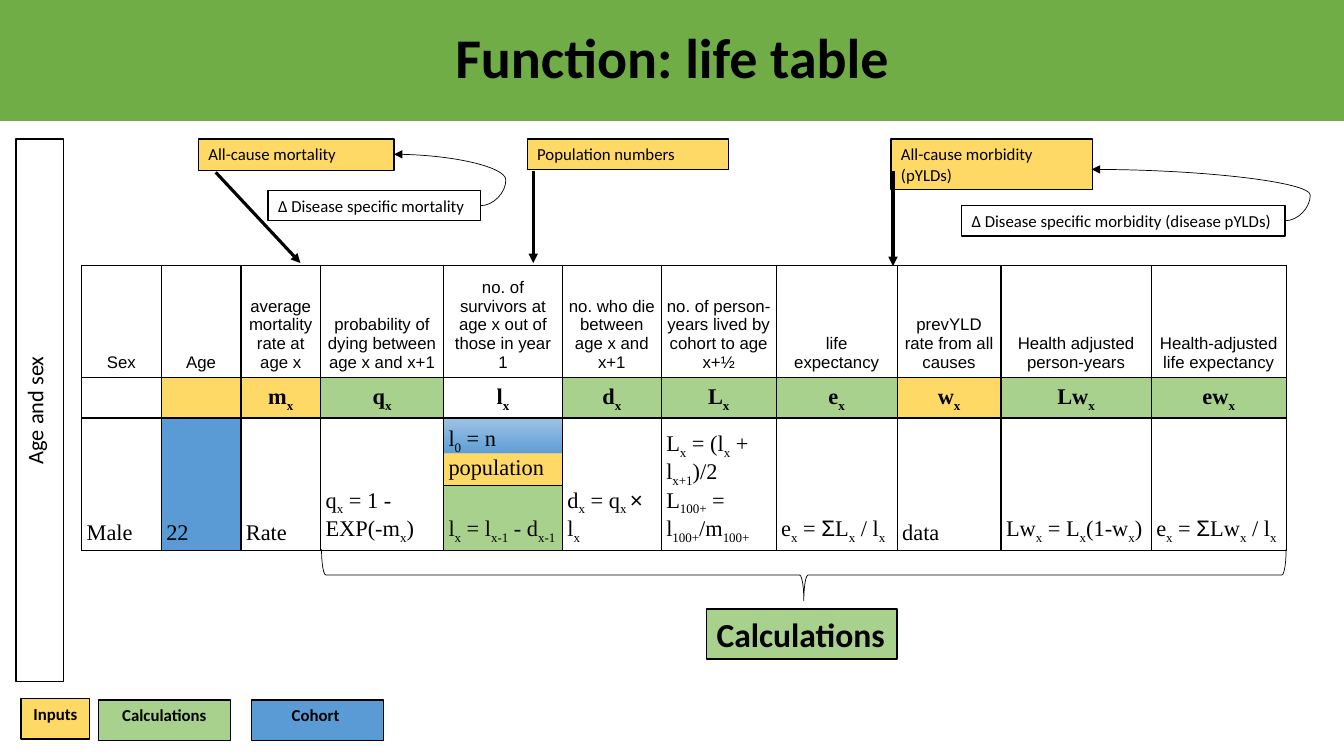
import dataclasses
import itertools
import typing

import lxml.etree
import pptx
import pptx.dml.color
import pptx.enum.shapes
import pptx.enum.text
import pptx.oxml.ns
import pptx.shapes.connector
import pptx.slide
import pptx.table
import pptx.text.text
import pptx.util

Pt = pptx.util.Pt
ALIGN = pptx.enum.text.PP_ALIGN
ANCHOR = pptx.enum.text.MSO_ANCHOR
SHAPE = pptx.enum.shapes.MSO_SHAPE
CONNECTOR = pptx.enum.shapes.MSO_CONNECTOR


@dataclasses.dataclass(frozen=True)
class Theme:
    black: str = "000000"
    white: str = "FFFFFF"
    banner: str = "70AD47"
    input: str = "FFD966"
    calculation: str = "A9D18E"
    cohort: str = "5B9BD5"
    cohort_gradient: tuple = ((47, "FFD966"), (48, "609ED6"), (100, "9DC3E6"))
    body_font: str = "Calibri"
    header_font: str = "Arial"
    formula_font: str = "Times New Roman"
    label_size: float = 12
    formula_size: float = 16
    callout_size: float = 24
    title_size: float = 40
    thin: float = 0.5
    normal: float = 1
    thick: float = 2.25


THEME = Theme()


@dataclasses.dataclass(frozen=True)
class Box:
    text: str
    left: float
    top: float
    width: float
    height: float
    fill: str
    size: float = THEME.label_size
    bold: bool = False
    align: ALIGN = ALIGN.LEFT
    wrap: bool = True
    outlined: bool = True
    vertical: bool = False
    anchor: ANCHOR = ANCHOR.TOP
    line_spacing: float = 1.0


@dataclasses.dataclass(frozen=True)
class Arrow:
    start: tuple[float, float]
    end: tuple[float, float]
    width: float = THEME.thick
    bend: float | None = None


@dataclasses.dataclass(frozen=True)
class Column:
    """One life-table column; underscores enclose subscripts."""
    width: float
    header: str
    symbol: str
    symbol_fill: str | None
    formula: str
    formula_fill: str | None = None
    lower_formula: str | None = None


LEGEND = dict(height=28.8, bold=True, align=ALIGN.CENTER)
BOXES = [
    Box("Function: life table", 0, 0, 960, 86.4, THEME.banner, THEME.title_size, True,
        ALIGN.CENTER, outlined=False, anchor=ANCHOR.MIDDLE, line_spacing=0.9),
    Box("All-cause mortality", 141.8, 99.4, 139.7, 22.3, THEME.input),
    Box("Δ Disease specific mortality", 191.5, 136.1, 151.9, 21.6, THEME.white, wrap=False),
    Box("Population numbers", 376.6, 99.4, 144, 21.6, THEME.input),
    Box("All-cause morbidity (pYLDs)", 636.5, 99.4, 144, 36, THEME.input),
    Box("Δ Disease specific morbidity (disease pYLDs)", 686.9, 146.9, 231.1, 21.6,
        THEME.white, wrap=False),
    Box("Age and sex", 11.5, 99.4, 33.8, 387.4, THEME.white, 16,
        align=ALIGN.CENTER, vertical=True),
    Box("Calculations", 504.7, 434.9, 136.1, 36, THEME.calculation,
        THEME.callout_size, True, wrap=False),
    Box("Inputs", left=15.1, top=499, width=49, fill=THEME.input, **LEGEND),
    Box("Calculations", left=70.2, top=500, width=94.3, fill=THEME.calculation, **LEGEND),
    Box("Cohort ", left=179.6, top=500, width=94.3, fill=THEME.cohort, **LEGEND),
]
ARROWS = [
    Arrow((343.4, 146.9), (281.5, 110.2), THEME.thin, -0.29),
    Arrow((918, 157.7), (779.8, 121), THEME.thin, -0.13),
    Arrow((154.1, 123.1), (214.6, 187.9)),
    Arrow((380.9, 122.4), (380.9, 187.9)),
    Arrow((637.9, 122.4), (637.9, 190.1)),
]
COLUMNS = [
    Column(56.9, "Sex", "", None, "Male"),
    Column(56.9, "Age", "", THEME.input, "22", THEME.cohort),
    Column(56.9, "average mortality rate at age x", "m_x_", THEME.input, "Rate"),
    Column(87.8, "probability of dying between age x and x+1", "q_x_", THEME.calculation,
           "q_x_ = 1 - EXP(-m_x_)"),
    Column(85, "no. of survivors at age x out of those in year 1", "l_x_", THEME.white,
           "l_0_ = n\npopulation", None, "l_x_ = l_x-1_ - d_x-1_"),
    Column(70.6, "no. who die between age x and x+1", "d_x_", THEME.calculation,
           "d_x_ = q_x _× l_x_"),
    Column(82.1, "no. of person-years lived by cohort to age x+½", "L_x_", THEME.calculation,
           "L_x_ = (l_x_ + l_x+1_)/2\nL_100+_ = l_100+_/m_100+_"),
    Column(86.4, "life expectancy", "e_x_", THEME.calculation, "e_x_ = ΣL_x_ / l_x_"),
    Column(74.2, "prevYLD rate from all causes", "w_x_", THEME.input, "data"),
    Column(107.3, "Health adjusted person-years", "Lw_x_", THEME.calculation,
           "Lw_x_ = L_x_(1-w_x_)"),
    Column(96.5, "Health-adjusted life expectancy", "ew_x_", THEME.calculation,
           "e_x_ = ΣLw_x_ / l_x_"),
]
ROW_HEIGHTS = [80, 28.8, 48, 46.4]
TABLE_LEFT, TABLE_TOP = 58.3, 189.4


def rgb(color: str) -> pptx.dml.color.RGBColor:
    return pptx.dml.color.RGBColor.from_string(color)


def apply_format(target: typing.Any, values: dict[str, typing.Any]) -> None:
    for name, value in values.items():
        setattr(target, name, value)


def add_element(parent: typing.Any, tag: str, **attributes: str) -> typing.Any:
    return lxml.etree.SubElement(parent, pptx.oxml.ns.qn(tag), attributes)


def add_run(paragraph: pptx.text.text._Paragraph, text: str, font: str, size: float,
            bold: bool = False) -> pptx.text.text._Run:
    run = paragraph.add_run()
    run.text = text
    apply_format(run.font, {"name": font, "size": Pt(size), "bold": bold})
    run.font.color.rgb = rgb(THEME.black)
    return run


def add_formula(paragraph: pptx.text.text._Paragraph, formula: str, bold: bool) -> None:
    """Write subscripts, line breaks and Arial math signs as separate runs."""
    for index, part in enumerate(formula.split("_")):
        for sign, group in itertools.groupby(part, lambda letter: letter if letter in "×Σ\n" else ""):
            if sign == "\n":
                paragraph.add_line_break()
                continue
            font = THEME.header_font if sign else THEME.formula_font
            run = add_run(paragraph, "".join(group), font, THEME.formula_size, bold)
            if index % 2:
                run.font._element.set("baseline", "-25000")


def add_box(slide: pptx.slide.Slide, box: Box) -> None:
    shape = slide.shapes.add_shape(
        SHAPE.RECTANGLE, Pt(box.left), Pt(box.top), Pt(box.width), Pt(box.height))
    shape.shadow.inherit = False
    shape.fill.solid()
    shape.fill.fore_color.rgb = rgb(box.fill)
    if box.outlined:
        shape.line.color.rgb = rgb(THEME.black)
        shape.line.width = Pt(THEME.normal)
    else:
        shape.line.fill.background()
    frame = shape.text_frame
    apply_format(frame, {"word_wrap": box.wrap, "vertical_anchor": box.anchor})
    if box.vertical:
        frame._txBody.bodyPr.set("vert", "vert270")
    paragraph = frame.paragraphs[0]
    apply_format(paragraph, {"alignment": box.align, "line_spacing": box.line_spacing})
    add_run(paragraph, box.text, THEME.body_font, box.size, box.bold)


def add_arrow(slide: pptx.slide.Slide, arrow: Arrow) -> None:
    kind = CONNECTOR.STRAIGHT if arrow.bend is None else CONNECTOR.CURVE
    connector = slide.shapes.add_connector(kind, *map(Pt, arrow.start + arrow.end))
    connector.line.color.rgb = rgb(THEME.black)
    connector.line.width = Pt(arrow.width)
    properties = connector._element.spPr
    add_element(properties.find(pptx.oxml.ns.qn("a:ln")), "a:tailEnd", type="triangle")
    add_element(properties, "a:effectLst")
    if arrow.bend is not None:
        guides = properties.find(".//" + pptx.oxml.ns.qn("a:avLst"))
        add_element(guides, "a:gd", name="adj1", fmla=f"val {round(arrow.bend * 100000)}")


def add_brace(slide: pptx.slide.Slide) -> None:
    brace = slide.shapes.add_shape(SHAPE.RIGHT_BRACE, Pt(555.8), Pt(66.2), Pt(36.7), Pt(689))
    brace.rotation = 90
    brace.shadow.inherit = False
    brace.fill.background()
    brace.line.color.rgb = rgb(THEME.black)
    brace.line.width = Pt(THEME.thin)


def format_cell(cell: pptx.table._Cell, fill: str | None, align: ALIGN) -> None:
    margins = {f"margin_{side}": Pt(3.6) for side in ("left", "right", "top", "bottom")}
    apply_format(cell, margins | {"vertical_anchor": ANCHOR.BOTTOM})
    cell.text_frame.paragraphs[0].alignment = align
    properties = cell._tc.get_or_add_tcPr()
    for side in ("a:lnL", "a:lnR", "a:lnT", "a:lnB"):
        border = add_element(properties, side, w=str(Pt(THEME.normal)))
        add_element(add_element(border, "a:solidFill"), "a:srgbClr", val=THEME.black)
    if fill:
        cell.fill.solid()
        cell.fill.fore_color.rgb = rgb(fill)
    else:
        cell.fill.background()


def fill_cohort_gradient(cell: pptx.table._Cell) -> None:
    properties = cell._tc.get_or_add_tcPr()
    properties.remove(properties.find(pptx.oxml.ns.qn("a:noFill")))
    gradient = add_element(properties, "a:gradFill", rotWithShape="1")
    stops = add_element(gradient, "a:gsLst")
    for position, color in THEME.cohort_gradient:
        stop = add_element(stops, "a:gs", pos=str(position * 1000))
        add_element(stop, "a:srgbClr", val=color)
    add_element(gradient, "a:lin", ang="16200000", scaled="0")


def add_life_table(slide: pptx.slide.Slide) -> None:
    width = sum(column.width for column in COLUMNS)
    table = slide.shapes.add_table(len(ROW_HEIGHTS), len(COLUMNS), Pt(TABLE_LEFT), Pt(TABLE_TOP),
                                   Pt(width), Pt(sum(ROW_HEIGHTS))).table
    apply_format(table, {"first_row": False, "horz_banding": False})
    for row, height in zip(table.rows, ROW_HEIGHTS):
        row.height = Pt(height)
    for index, column in enumerate(COLUMNS):
        table.columns[index].width = Pt(column.width)
        header, symbol, formula, lower = (table.cell(row, index) for row in range(4))
        lower_fill = THEME.calculation if column.lower_formula else column.formula_fill
        format_cell(header, None, ALIGN.CENTER)
        format_cell(symbol, column.symbol_fill, ALIGN.CENTER)
        format_cell(formula, column.formula_fill, ALIGN.LEFT)
        format_cell(lower, lower_fill, ALIGN.LEFT)
        add_run(header.text_frame.paragraphs[0], column.header, THEME.header_font, THEME.label_size)
        add_formula(symbol.text_frame.paragraphs[0], column.symbol, True)
        add_formula(formula.text_frame.paragraphs[0], column.formula, False)
        if column.lower_formula:
            add_formula(lower.text_frame.paragraphs[0], column.lower_formula, False)
            fill_cohort_gradient(formula)
        else:
            formula.merge(lower)


def main() -> None:
    presentation = pptx.Presentation()
    apply_format(presentation, {"slide_width": Pt(960), "slide_height": Pt(540)})
    slide = presentation.slides.add_slide(presentation.slide_layouts[6])
    for box in BOXES:
        add_box(slide, box)
    add_life_table(slide)
    for arrow in ARROWS:
        add_arrow(slide, arrow)
    add_brace(slide)
    presentation.save("out.pptx")


if __name__ == "__main__":
    main()
